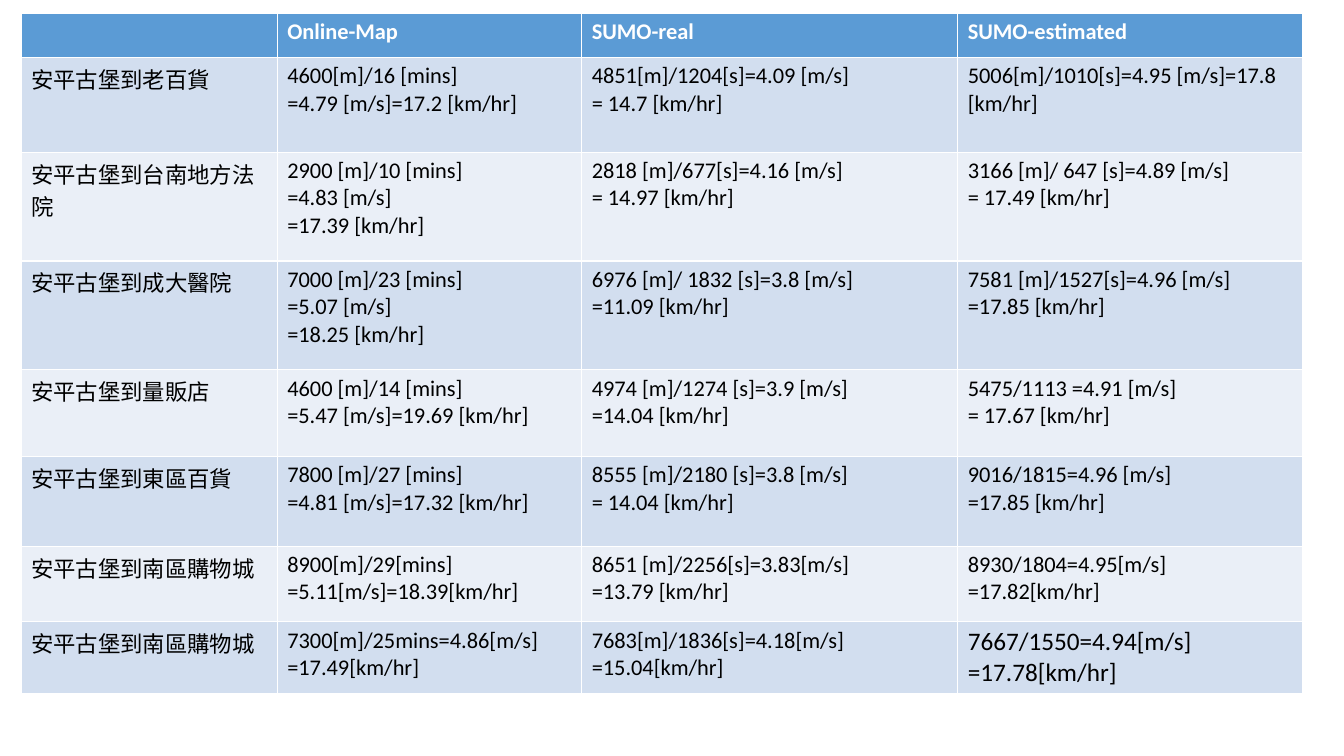
from pptx import Presentation
from pptx.dml.color import RGBColor
from pptx.util import Inches, Pt

COLORS = {
    "header": "5B9BD5",
    "odd_row": "D2DEEF",
    "even_row": "EAEFF7",
    "header_text": "FFFFFF",
    "body_text": "000000",
}
FONT = "Calibri"
TEXT_SIZE = 16
LAST_CELL_SIZE = 18

LEFT, TOP = 0.21, 0.13
COLUMN_WIDTHS = [2.54, 3.02, 3.73, 3.42]
ROW_HEIGHTS = [0.44, 0.94, 1.08, 1.08, 0.86, 0.89, 0.75, 0.7]

ROWS = [
    ["", "Online-Map", "SUMO-real", "SUMO-estimated"],
    ["安平古堡到老百貨",
     "4600[m]/16 [mins]\n=4.79 [m/s]=17.2 [km/hr]",
     "4851[m]/1204[s]=4.09 [m/s]\n= 14.7 [km/hr]",
     "5006[m]/1010[s]=4.95 [m/s]=17.8 [km/hr]"],
    ["安平古堡到台南地方法院",
     "2900 [m]/10 [mins]\n=4.83 [m/s]\n=17.39 [km/hr]",
     "2818 [m]/677[s]=4.16 [m/s]\n= 14.97 [km/hr]",
     "3166 [m]/ 647 [s]=4.89 [m/s]\n= 17.49 [km/hr]"],
    ["安平古堡到成大醫院",
     "7000 [m]/23 [mins]\n=5.07 [m/s]\n=18.25 [km/hr]",
     "6976 [m]/ 1832 [s]=3.8 [m/s]\n=11.09 [km/hr]",
     "7581 [m]/1527[s]=4.96 [m/s]\n=17.85 [km/hr]"],
    ["安平古堡到量販店",
     "4600 [m]/14 [mins]\n=5.47 [m/s]=19.69 [km/hr]",
     "4974 [m]/1274 [s]=3.9 [m/s]\n=14.04 [km/hr]",
     "5475/1113 =4.91 [m/s]\n= 17.67 [km/hr]"],
    ["安平古堡到東區百貨",
     "7800 [m]/27 [mins]\n=4.81 [m/s]=17.32 [km/hr]",
     "8555 [m]/2180 [s]=3.8 [m/s]\n= 14.04 [km/hr]",
     "9016/1815=4.96 [m/s]\n=17.85 [km/hr]"],
    ["安平古堡到南區購物城",
     "8900[m]/29[mins]\n=5.11[m/s]=18.39[km/hr]",
     "8651 [m]/2256[s]=3.83[m/s]\n=13.79 [km/hr]",
     "8930/1804=4.95[m/s]\n=17.82[km/hr]"],
    ["安平古堡到南區購物城",
     "7300[m]/25mins=4.86[m/s]\n=17.49[km/hr]",
     "7683[m]/1836[s]=4.18[m/s]\n=15.04[km/hr]",
     "7667/1550=4.94[m/s]\n=17.78[km/hr]"],
]


def rgb(name):
    return RGBColor.from_string(COLORS[name])


def fill_cell(cell, text, fill, text_color, size, bold):
    cell.fill.solid()
    cell.fill.fore_color.rgb = rgb(fill)
    cell.text_frame.text = text
    for paragraph in cell.text_frame.paragraphs:
        for run in paragraph.runs:
            run.font.name = FONT
            run.font.size = Pt(size)
            run.font.bold = bold
            run.font.color.rgb = rgb(text_color)


def add_speed_table(slide):
    table = slide.shapes.add_table(
        len(ROWS), len(COLUMN_WIDTHS), Inches(LEFT), Inches(TOP),
        Inches(sum(COLUMN_WIDTHS)), Inches(sum(ROW_HEIGHTS))).table
    for column, width in zip(table.columns, COLUMN_WIDTHS):
        column.width = Inches(width)
    for row, height in zip(table.rows, ROW_HEIGHTS):
        row.height = Inches(height)

    last_cell = (len(ROWS) - 1, len(COLUMN_WIDTHS) - 1)
    for row_index, texts in enumerate(ROWS):
        is_header = row_index == 0
        band = "odd_row" if row_index % 2 else "even_row"
        fill = "header" if is_header else band
        text_color = "header_text" if is_header else "body_text"
        for column_index, text in enumerate(texts):
            position = (row_index, column_index)
            size = LAST_CELL_SIZE if position == last_cell else TEXT_SIZE
            fill_cell(table.cell(*position), text, fill, text_color, size, is_header)


def main():
    presentation = Presentation()
    presentation.slide_width = Inches(13.33)
    presentation.slide_height = Inches(7.5)
    slide = presentation.slides.add_slide(presentation.slide_layouts[6])
    add_speed_table(slide)
    presentation.save("out.pptx")


if __name__ == "__main__":
    main()
